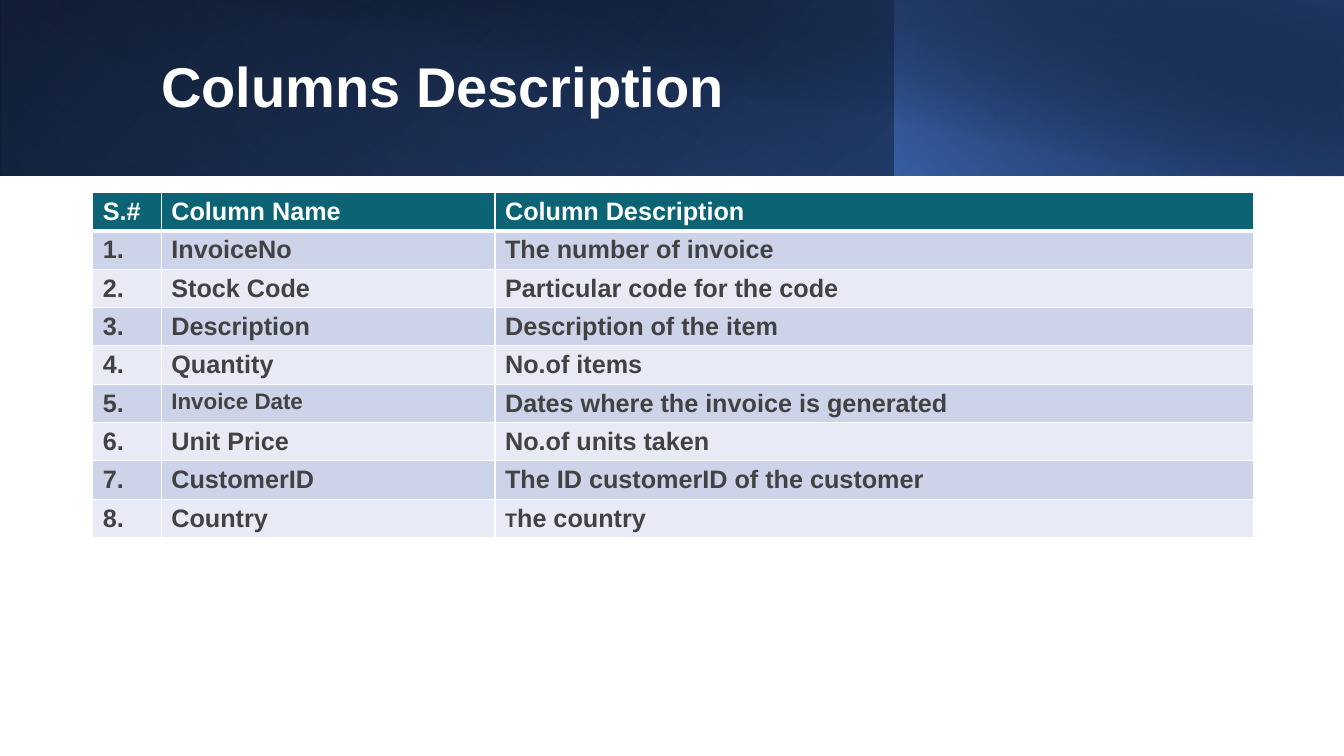
from pptx import Presentation
from pptx.dml.color import RGBColor
from pptx.enum.shapes import MSO_SHAPE
from pptx.enum.text import MSO_ANCHOR, PP_ALIGN
from pptx.oxml import parse_xml
from pptx.oxml.ns import nsdecls
from pptx.util import Inches, Pt

RECT = MSO_SHAPE.RECTANGLE
MIDDLE = MSO_ANCHOR.MIDDLE
LEFT = PP_ALIGN.LEFT


def rgb(value):
    return RGBColor.from_string(value)


def add_run(p, text, size, color):
    r = p.add_run()
    r.text = text
    formats = {"name": "Arial", "size": Pt(size), "bold": True}
    for key, value in formats.items():
        setattr(r.font, key, value)
    r.font.color.rgb = rgb(color)


prs = Presentation()
prs.slide_width, prs.slide_height = Inches(13.33), Inches(7.5)
s = prs.slides.add_slide(prs.slide_layouts[5])

# Header band: box, flip, rotation, angle, stops (position, colour, opacity)
bands = [
    ((0, 0, 13.33, 1.74), True, 0, 140,
     [(0, "000000", 100), (100, "2F5496", 100)]),
    ((0, 0, 8.88, 1.74), True, 180, 230,
     [(0, "4472C4", 0), (20, "4472C4", 0), (100, "1F3864", 55)]),
    ((8.87, 0, 4.46, 1.74), True, 0, 220,
     [(0, "4472C4", 66), (100, "000000", 30)]),
    ((0.5, 0, 12.83, 1.75), False, 0, 280,
     [(0, "000000", 0), (50, "000000", 0), (99, "1F3864", 52), (100, "1F3864", 52)]),
]
for box, flip, rotation, angle, stops in bands:
    sp = s.shapes.add_shape(RECT, *[Inches(v) for v in box])
    sp.shadow.inherit = False
    sp.line.fill.background()
    sp.rotation = rotation
    spPr = sp._element.spPr
    if flip:
        spPr.xfrm.set("flipH", "1")
    stop_xml = "".join(
        f'<a:gs pos="{pos * 1000}"><a:srgbClr val="{color}">'
        f'<a:alpha val="{alpha * 1000}"/></a:srgbClr></a:gs>'
        for pos, color, alpha in stops)
    gradient = parse_xml(
        f'<a:gradFill {nsdecls("a")} rotWithShape="1"><a:gsLst>{stop_xml}</a:gsLst>'
        f'<a:lin ang="{angle * 60000}" scaled="0"/></a:gradFill>')
    spPr.prstGeom.addnext(gradient)

# Title, brought in front of the band
title = s.shapes.title
s.shapes._spTree.append(title._element)
title.left, title.top = Inches(1.5), Inches(0.32)
title.width, title.height = Inches(10.82), Inches(1.13)
tf = title.text_frame
tf.vertical_anchor = MIDDLE
tf.word_wrap = True
p = tf.paragraphs[0]
p.alignment = LEFT
p.line_spacing = 0.9
add_run(p, "Columns Description", 40, "FFFFFF")

# Table
rows = [
    ("S.#", "Column Name", "Column Description"),
    ("1.", "InvoiceNo", "The number of invoice"),
    ("2.", "Stock Code", "Particular code for the code"),
    ("3.", "Description", "Description of the item"),
    ("4.", "Quantity", "No.of items"),
    ("5.", "Invoice Date", "Dates where the invoice is generated"),
    ("6.", "Unit Price", "No.of units taken"),
    ("7.", "CustomerID", "The ID customerID of the customer"),
    ("8.", "Country", "The country"),
]
# Cells whose runs are not all 18 pt
special_runs = {
    (5, 1): [("Invoice Date", 16)],
    (8, 2): [("T", 14), ("he country", 18)],
}
row_height = 0.38
table = s.shapes.add_table(
    len(rows), 3, Inches(0.92), Inches(1.91),
    Inches(11.51), Inches(row_height * len(rows))).table
for column, width in zip(table.columns, (0.68, 3.31, 7.52)):
    column.width = Inches(width)

for i, row in enumerate(rows):
    table.rows[i].height = Inches(row_height)
    if i == 0:
        fill, color = "0B6374", "FFFFFF"
    else:
        fill, color = ("CDD4EA" if i % 2 else "E8EBF5"), "424242"
    for j, text in enumerate(row):
        cell = table.cell(i, j)
        cell.fill.solid()
        cell.fill.fore_color.rgb = rgb(fill)
        for run_text, size in special_runs.get((i, j), [(text, 18)]):
            add_run(cell.text_frame.paragraphs[0], run_text, size, color)

        # White borders, thicker under the header
        borders = {"lnL": 1, "lnR": 1, "lnT": 3 if i == 1 else 1, "lnB": 3 if i == 0 else 1}
        tcPr = cell._tc.get_or_add_tcPr()
        for n, (side, width) in enumerate(borders.items()):
            tcPr.insert(n, parse_xml(
                f'<a:{side} {nsdecls("a")} w="{Pt(width)}"><a:solidFill>'
                f'<a:srgbClr val="FFFFFF"/></a:solidFill></a:{side}>'))

prs.save("out.pptx")
